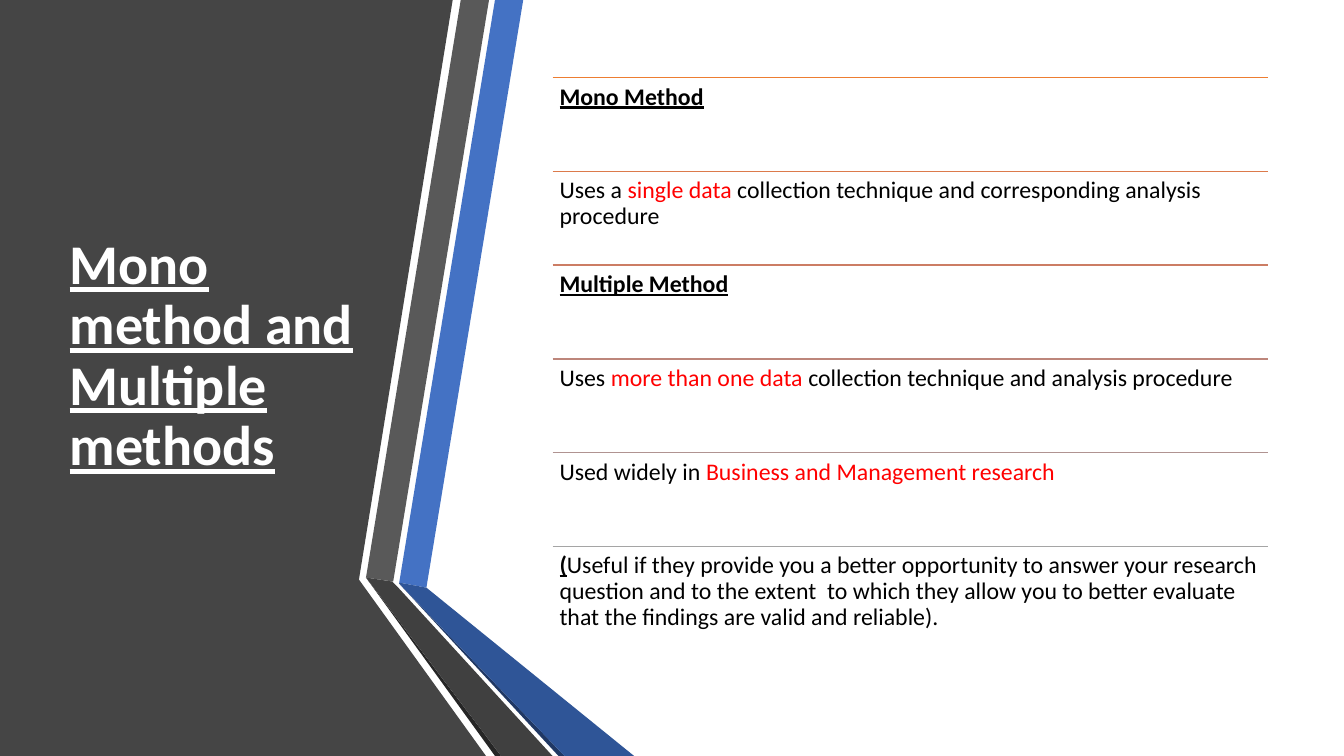
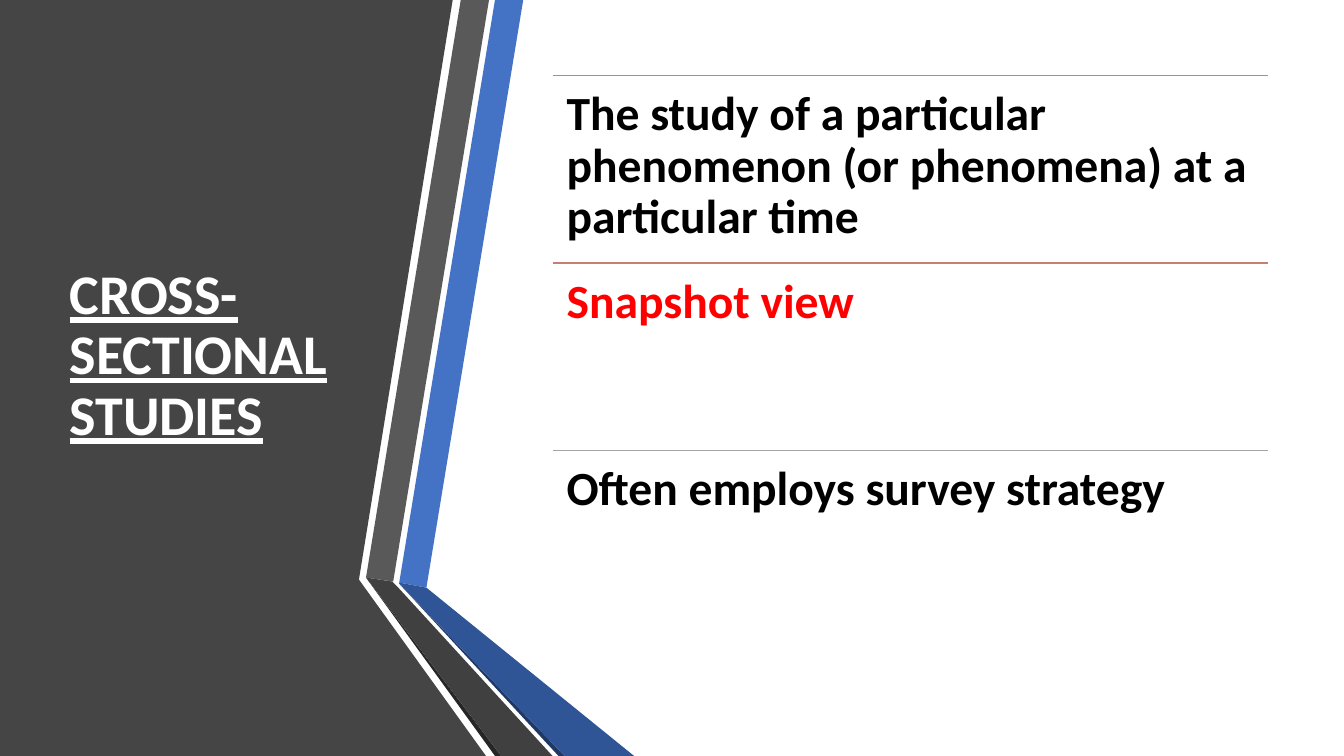
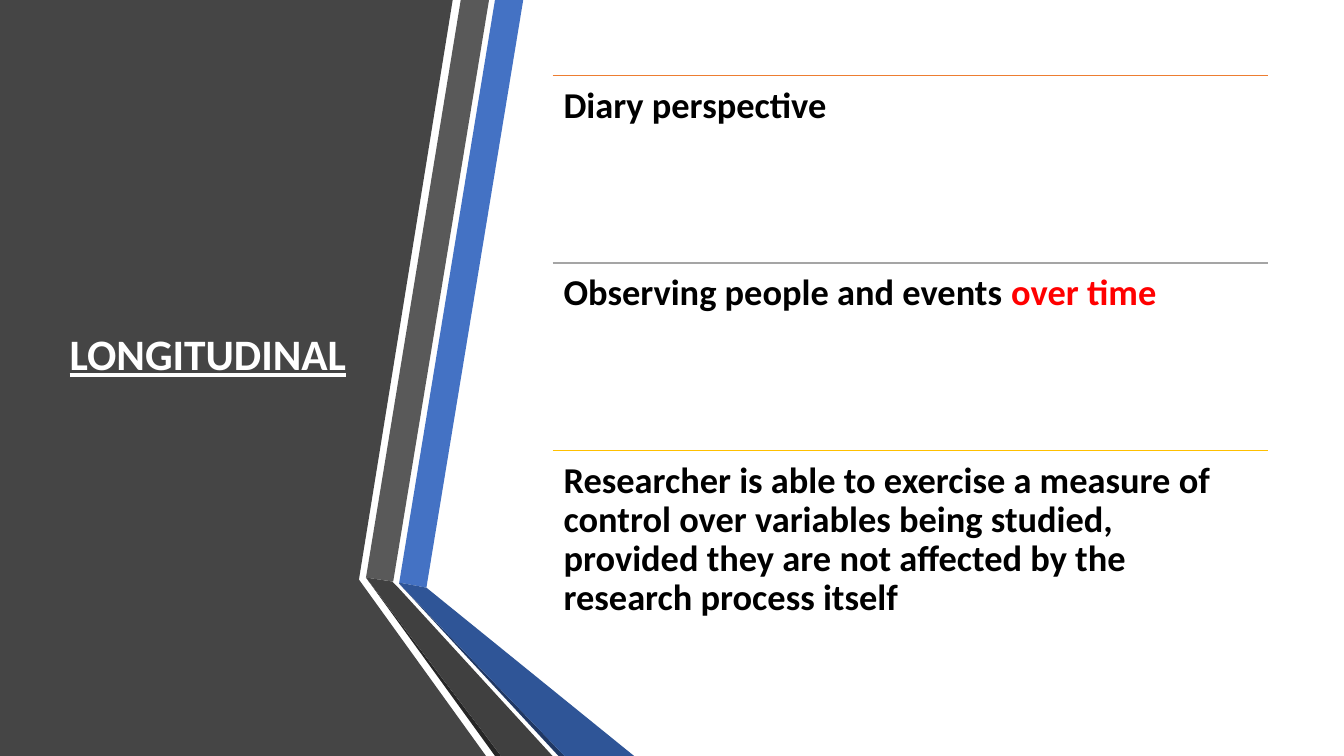
from lxml.etree import SubElement
from pptx import Presentation
from pptx.dml.color import RGBColor
from pptx.enum.shapes import MSO_CONNECTOR
from pptx.enum.text import MSO_ANCHOR, MSO_AUTO_SIZE, PP_ALIGN
from pptx.oxml.ns import qn
from pptx.util import Inches, Pt

# Shared colours and font
FONT = "Calibri"
WHITE = RGBColor(0xFF, 0xFF, 0xFF)
BLACK = RGBColor(0x00, 0x00, 0x00)
RED = RGBColor(0xFF, 0x00, 0x00)
CHARCOAL = RGBColor(0x45, 0x45, 0x45)
BLUE = RGBColor(0x44, 0x72, 0xC4)
GRAY = RGBColor(0x59, 0x59, 0x59)
NEAR_BLACK = RGBColor(0x26, 0x26, 0x26)
NAVY = RGBColor(0x20, 0x38, 0x64)
DARK_BLUE = RGBColor(0x2F, 0x55, 0x97)
DARK_GRAY = RGBColor(0x40, 0x40, 0x40)
ORANGE = RGBColor(0xED, 0x7D, 0x31)
SILVER = RGBColor(0xA5, 0xA5, 0xA5)
GOLD = RGBColor(0xFF, 0xC0, 0x00)

# Side panel and folded bands, from back to front, corners in inches
BANDS = [
    (CHARCOAL, [(0, 0), (4.49, 0), (3.56, 5.75), (4.82, 7.5), (0, 7.5)]),
    (BLUE, [(3.96, 5.78), (4.23, 5.83), (5.19, 0), (4.91, 0)]),
    (GRAY, [(4.85, 0), (4.57, 0), (3.63, 5.73), (3.9, 5.77)]),
    (NEAR_BLACK, [(3.63, 5.73), (4.91, 7.5), (4.97, 7.5)]),
    (NAVY, [(3.96, 5.79), (5.54, 7.5), (5.6, 7.5)]),
    (DARK_BLUE, [(3.96, 5.79), (5.6, 7.5), (6.29, 7.5), (4.23, 5.83), (3.96, 5.78)]),
    (DARK_GRAY, [(5.48, 7.5), (3.95, 5.83), (3.89, 5.77), (3.63, 5.73), (4.97, 7.5)]),
]

# Row list area
ROW_LEFT, ROW_WIDTH, ROWS_HEIGHT = 5.48, 7.1, 5.58

# Run formats
PLAIN = {}
BOLD = {"bold": True}
HEADING = {"bold": True, "underline": True}
RED_PLAIN = {"colour": RED}
RED_BOLD = {"colour": RED, "bold": True}

# Each row: rule colour, then runs of text and format
SLIDES = [
    {
        "title": "Mono method and Multiple methods", "title_size": 40,
        "top": 0.77, "size": 17, "inset": 0.07,
        "rows": [
            (ORANGE, [("Mono Method", HEADING)]),
            (RGBColor(0xDC, 0x7A, 0x4B), [
                ("Uses a ", PLAIN), ("single data ", RED_PLAIN),
                ("collection technique and corresponding analysis procedure", PLAIN)]),
            (RGBColor(0xCC, 0x7D, 0x64), [("Multiple Method", HEADING)]),
            (RGBColor(0xBD, 0x86, 0x7B), [
                ("Uses ", PLAIN), ("more than one data ", RED_PLAIN),
                ("collection technique and analysis procedure", PLAIN)]),
            (RGBColor(0xB0, 0x93, 0x91), [
                ("Used widely in ", PLAIN),
                ("Business and Management research", RED_PLAIN)]),
            (SILVER, [
                ("(", HEADING),
                ("Useful if they provide you a better opportunity to answer your "
                 "research question and to the extent  to which they allow you to "
                 "better evaluate that the findings are valid and reliable).", PLAIN)]),
        ],
    },
    {
        "title": "CROSS-SECTIONAL STUDIES", "title_size": 40,
        "top": 0.75, "size": 34, "inset": 0.14,
        "rows": [
            (ORANGE, [("The study of a particular phenomenon (or phenomena) "
                       "at a particular time", BOLD)]),
            (RGBColor(0xC4, 0x81, 0x70), [("Snapshot view", RED_BOLD)]),
            (SILVER, [("Often employs survey strategy", BOLD)]),
        ],
    },
    {
        "title": "LONGITUDINAL", "title_size": 31,
        "top": 0.75, "size": 26, "inset": 0.11,
        "rows": [
            (ORANGE, [("Diary perspective", BOLD)]),
            (SILVER, [("Observing people and events ", BOLD), ("over time", RED_BOLD)]),
            (GOLD, [("Researcher is able to exercise a measure of control over "
                     "variables being studied, provided they are not affected by "
                     "the research process itself", BOLD)]),
        ],
    },
]


def write(paragraph, text, size, colour=BLACK, bold=False, underline=False):
    """Add one formatted run to a left-aligned paragraph."""
    paragraph.alignment = PP_ALIGN.LEFT
    paragraph.line_spacing = 0.9
    run = paragraph.add_run()
    run.text = text
    run.font.name = FONT
    run.font.size = Pt(size)
    run.font.color.rgb = colour
    run.font.bold = bold
    run.font.underline = underline


presentation = Presentation()
presentation.slide_width = Inches(13.33)
presentation.slide_height = Inches(7.5)
title_only = presentation.slide_layouts[5]

for content in SLIDES:
    slide = presentation.slides.add_slide(title_only)
    shapes = slide.shapes

    # Side panel and bands
    for colour, corners in BANDS:
        points = [(Inches(x), Inches(y)) for x, y in corners]
        builder = shapes.build_freeform(*points[0])
        builder.add_line_segments(points[1:], close=True)
        band = builder.convert_to_shape()
        band.shadow.inherit = False
        band.fill.solid()
        band.fill.fore_color.rgb = colour
        band.line.fill.background()

    # Title, raised above the panel
    title = shapes.title
    title.left, title.top = Inches(0.59), Inches(0.75)
    title.width, title.height = Inches(3.04), Inches(5.58)
    title.text_frame.auto_size = MSO_AUTO_SIZE.NONE
    title.text_frame.word_wrap = True
    title.text_frame.vertical_anchor = MSO_ANCHOR.MIDDLE
    write(title.text_frame.paragraphs[0], content["title"], content["title_size"],
          colour=WHITE, bold=True, underline=True)
    shapes._spTree.append(title._element)

    # Ruled rows of equal height
    row_height = ROWS_HEIGHT / len(content["rows"])
    for index, (rule_colour, runs) in enumerate(content["rows"]):
        left, width = Inches(ROW_LEFT), Inches(ROW_WIDTH)
        top = Inches(content["top"] + index * row_height)

        rule = shapes.add_connector(MSO_CONNECTOR.STRAIGHT, left, top, left + width, top)
        rule.line.color.rgb = rule_colour
        rule.line.width = Pt(1)
        SubElement(rule._element.spPr, qn("a:effectLst"))

        frame = shapes.add_textbox(left, top, width, Inches(row_height)).text_frame
        frame.word_wrap = True
        frame.margin_left = frame.margin_right = Inches(content["inset"])
        frame.margin_top = frame.margin_bottom = Inches(content["inset"])
        for text, run_format in runs:
            write(frame.paragraphs[0], text, content["size"], **run_format)

presentation.save("out.pptx")
